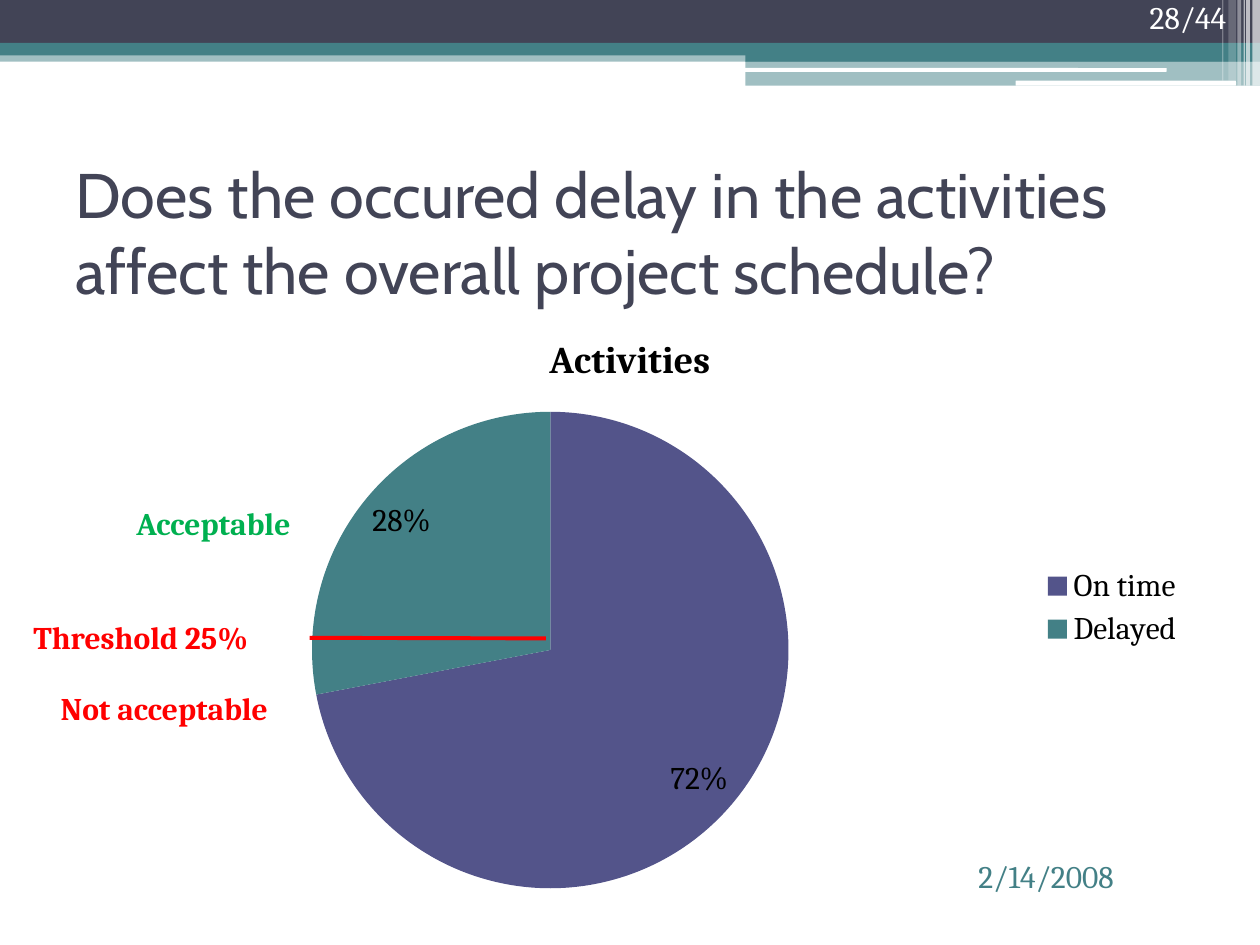
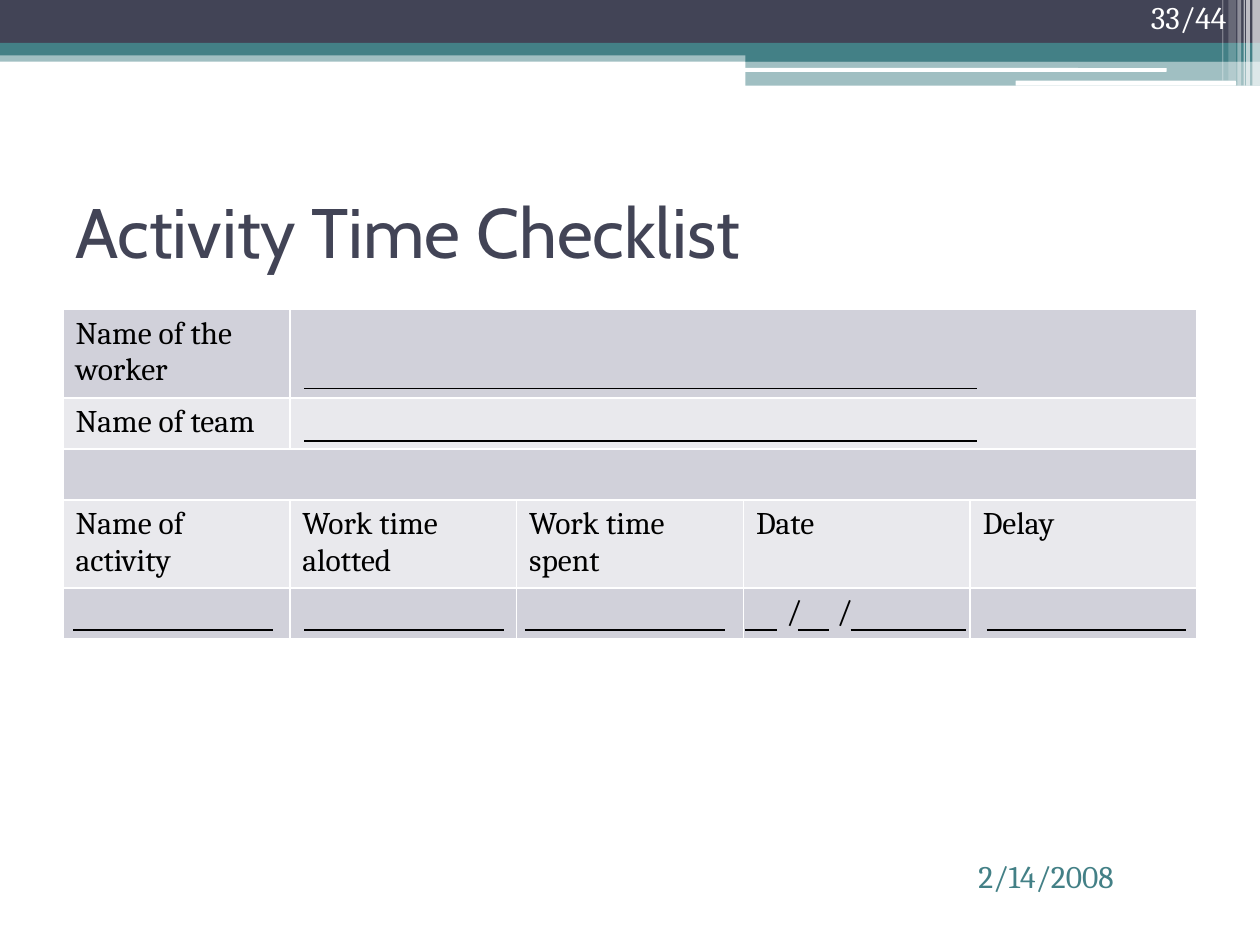
from dataclasses import dataclass
from lxml.etree import SubElement as Sub
from pptx import Presentation
from pptx.chart.data import CategoryChartData as Data
from pptx.dml.color import RGBColor as RGB
from pptx.enum.chart import XL_CHART_TYPE as Kind, XL_LABEL_POSITION as Spot, XL_LEGEND_POSITION as Side
from pptx.enum.shapes import MSO_CONNECTOR as Link, MSO_SHAPE as Form
from pptx.enum.text import MSO_ANCHOR as Anchor, PP_ALIGN as Align
from pptx.oxml.ns import qn
from pptx.util import Inches, Pt


@dataclass(frozen=True)
class Theme:
    dark: str = "424456"
    teal: str = "438086"
    plum: str = "53548A"
    white: str = "FFFFFF"
    black: str = "000000"
    red: str = "FF0000"
    green: str = "00B050"
    odd: str = "D1D1DA"
    even: str = "E9E9ED"
    head: str = "Cabin"
    body: str = "Cambria"
    text: float = 18
    name: float = 21.6
    long: float = 36
    short: float = 40


look = Theme()
deck = Presentation()
deck.slide_width, deck.slide_height = Inches(10), Inches(7.5)
unit = deck.slide_width / 120


def grid(*cells):
    return [round(cell * unit) for cell in cells]


def write(frame, text, size=look.text, color=look.black, face=look.body, bold=False):
    run = frame.paragraphs[0].add_run()
    run.text = text
    run.font.size, run.font.name, run.font.bold = Pt(size), face, bold
    run.font.color.rgb = RGB.from_string(color)


bands = [
    (Form.RECTANGLE, 0, 4.8, 120, 1.08, look.teal, 50),
    (Form.RECTANGLE, 0, 0, 120, 4.08, look.dark, 100),
    (Form.RECTANGLE, 0, 4.08, 120, 1.2, look.teal, 100),
    (Form.RECTANGLE, 71, 4.68, 49, 1.2, look.teal, 100),
    (Form.RECTANGLE, 71, 5.8, 49, 2.36, look.teal, 50),
    (Form.ROUNDED_RECTANGLE, 70.92, 6.48, 40.2, 0.36, look.white, 100),
    (Form.ROUNDED_RECTANGLE, 96.72, 7.68, 21, 0.48, look.white, 100),
]
stripes = [
    (119.28, 0.72, 8.16, 65),
    (118.68, 0.36, 8.16, 65),
    (118.44, 0.12, 8.16, 60),
    (117.84, 0.36, 8.16, 40),
    (117, 0.72, 7.68, 20),
    (116.4, 0.12, 7.68, 30),
]
bands += [(Form.RECTANGLE, x, 0, w, h, look.white, part) for x, w, h, part in stripes]

heads = [
    ("28/44", "Does the occured delay in the activities affect the overall project schedule?", look.long),
    ("33/44", "Activity Time Checklist", look.short),
]
pages = []
for count, head, size in heads:
    page = deck.slides.add_slide(deck.slide_layouts[6])
    pages.append(page)
    for form, x, y, w, h, color, part in bands:
        band = page.shapes.add_shape(form, *grid(x, y, w, h))
        band.shadow.inherit = False
        band.fill.solid()
        band.fill.fore_color.rgb = RGB.from_string(color)
        band.line.fill.background()
        if part < 100:
            tone = band._element.spPr.find(".//" + qn("a:srgbClr"))
            Sub(tone, qn("a:alpha"), val=str(part * 1000))
    for place, anchor, align, text, pts, color, face in [
        ((103.68, -0.84, 14.28, 4.8), Anchor.BOTTOM, Align.RIGHT, count, look.text, look.white, look.body),
        ((92, 81, 18, 6), Anchor.TOP, Align.LEFT, "2/14/2008", look.text, look.teal, look.body),
        ((6, 15, 108, 14), Anchor.MIDDLE, Align.LEFT, head, size, look.dark, look.head),
    ]:
        frame = page.shapes.add_textbox(*grid(*place)).text_frame
        frame.word_wrap = True
        frame.vertical_anchor = anchor
        frame.paragraphs[0].alignment = align
        write(frame, text, pts, color, face)

delay, check = pages

data = Data(number_format="0")
data.categories = ["On time", "Delayed"]
data.add_series("Activities", (72, 28))
pie = delay.shapes.add_chart(Kind.PIE, *grid(6, 29.5, 108, 56.76), data).chart
pie.font.size, pie.font.name = Pt(look.text), look.body
pie.font.color.rgb = RGB.from_string(look.black)
pie.has_title = True
write(pie.chart_title.text_frame, "Activities", look.name, bold=True)
pie.has_legend = True
pie.legend.position = Side.RIGHT
pie.legend.include_in_layout = False
plot = pie.plots[0]
plot.vary_by_categories = True
plot.has_data_labels = True
tags = plot.data_labels
tags.show_percentage, tags.show_value = True, False
tags.number_format, tags.number_format_is_linked = "0%", False
tags.position = Spot.INSIDE_END
for i, color in enumerate([look.plum, look.teal]):
    fill = plot.series[0].points[i].format.fill
    fill.solid()
    fill.fore_color.rgb = RGB.from_string(color)

for x, y, w, text, color in [
    (2, 58.32, 26, "Threshold 25%", look.red),
    (4.6, 65, 26, "Not acceptable", look.red),
    (11.8, 47.4, 20, "Acceptable", look.green),
]:
    frame = delay.shapes.add_textbox(*grid(x, y, w, 4.8)).text_frame
    frame.word_wrap = True
    write(frame, text, color=color, bold=True)

rows = [
    ["Name of the worker"],
    ["Name of team"],
    [],
    ["Name of activity", "Work time alotted", "Work time spent", "Date", "Delay"],
    ["", "", "", "\t/\t/"],
]
table = check.shapes.add_table(5, 5, *grid(6, 29.5, 108, 30.8)).table
table.first_row = table.horz_banding = False
for r, tall in enumerate([8.1, 4.86, 4.86, 8.1, 4.86]):
    table.rows[r].height = grid(tall)[0]
    for c in range(5):
        cell = table.cell(r, c)
        props = cell._tc.get_or_add_tcPr()
        for side in ("lnL", "lnR", "lnT", "lnB"):
            edge = Sub(props, qn("a:" + side), w=str(Pt(1)))
            Sub(Sub(edge, qn("a:solidFill")), qn("a:srgbClr"), val=look.white)
        cell.fill.solid()
        cell.fill.fore_color.rgb = RGB.from_string(look.even if r % 2 else look.odd)
for r, first in enumerate([1, 1, 0]):
    table.cell(r, first).merge(table.cell(r, 4))
stops = Sub(table.cell(4, 3).text_frame.paragraphs[0]._p.get_or_add_pPr(), qn("a:tabLst"))
for stop in (2.9, 7.7):
    Sub(stops, qn("a:tab"), pos=str(grid(stop)[0]), algn="l")
for r, row in enumerate(rows):
    for c, text in enumerate(row):
        if text:
            write(table.cell(r, c).text_frame, text)

rules = [(delay, 52, 60.8, 29.5, 60.75, look.red, 2.25)]
for left, right, y in [
    (29, 93, 37), (29, 93, 42),
    (7, 26, 60), (29, 48, 60), (50, 69, 60), (94, 113, 60),
    (81, 92, 60), (71, 74, 60), (76, 79, 60),
]:
    rules.append((check, left, y, right, y, look.black, 0.75))
for page, x, y, far, low, color, thick in rules:
    rule = page.shapes.add_connector(Link.STRAIGHT, *grid(x, y, far, low))
    rule.line.color.rgb = RGB.from_string(color)
    rule.line.width = Pt(thick)
    Sub(rule._element.spPr, qn("a:effectLst"))

deck.save("out.pptx")
